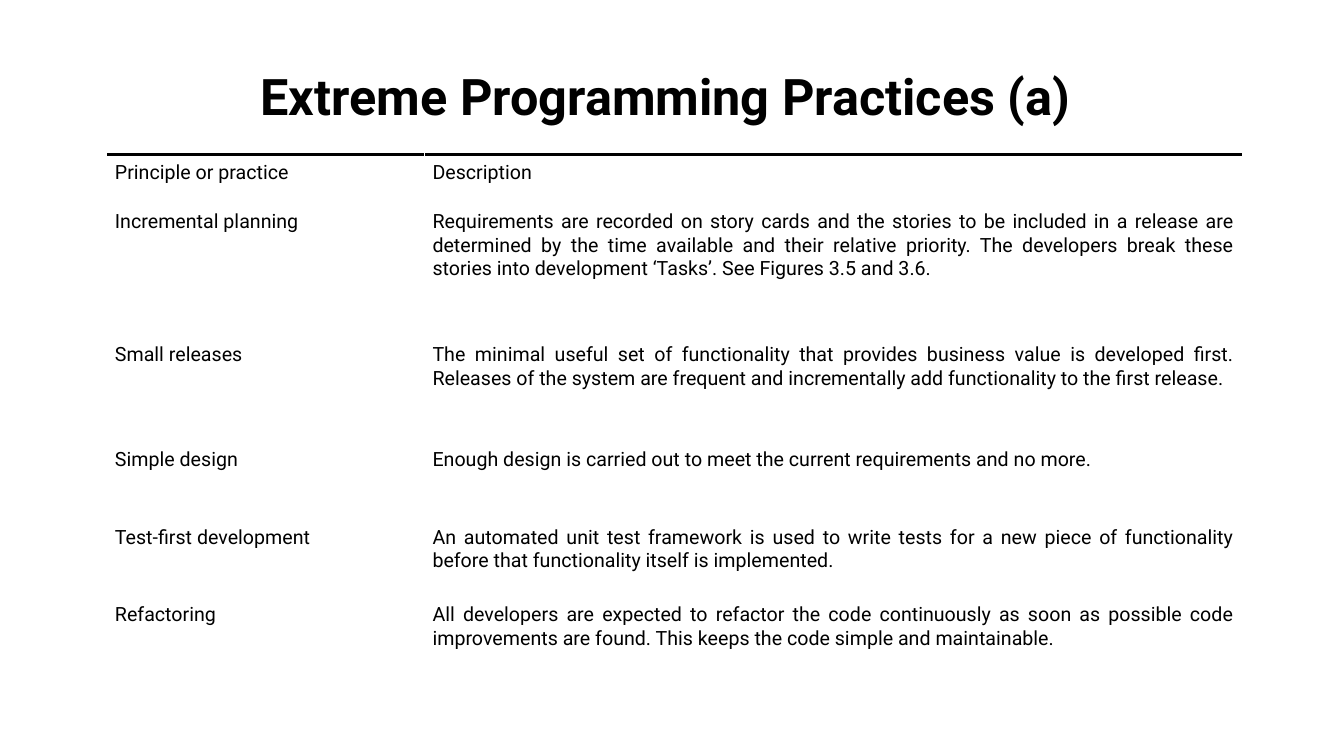
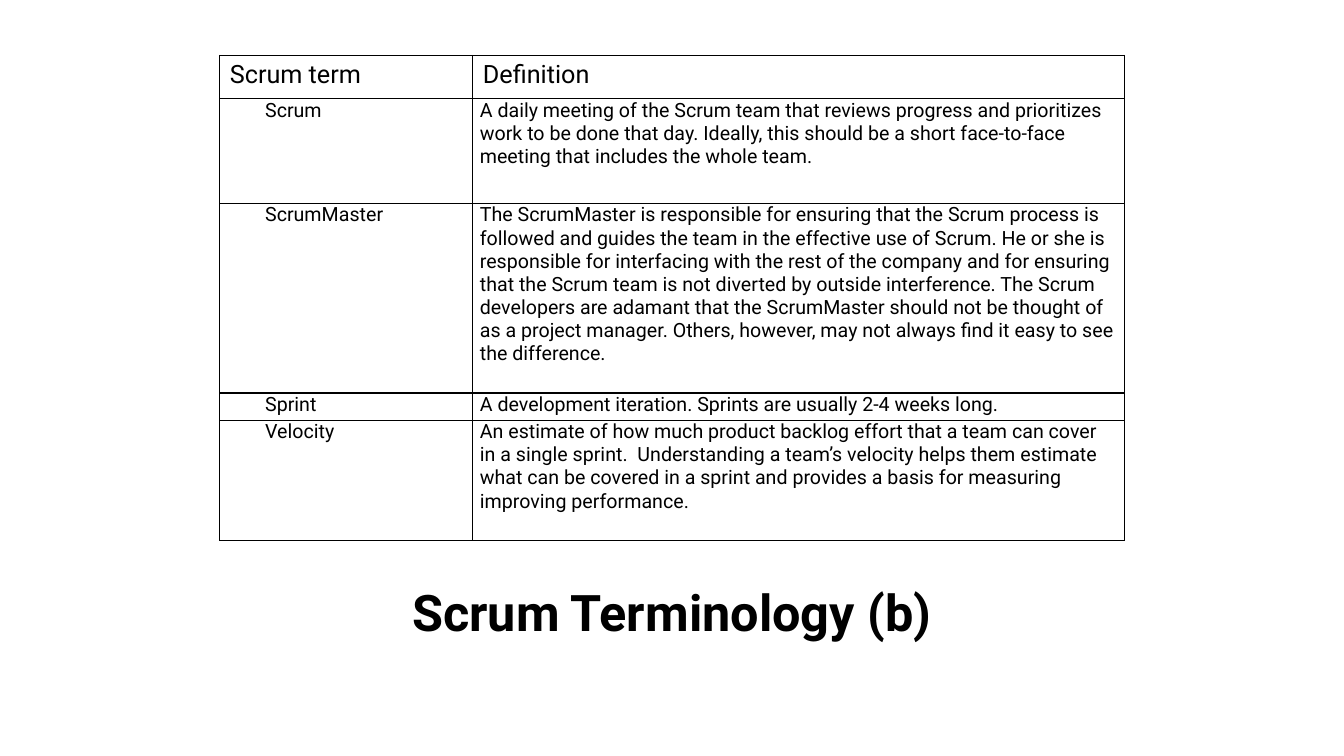
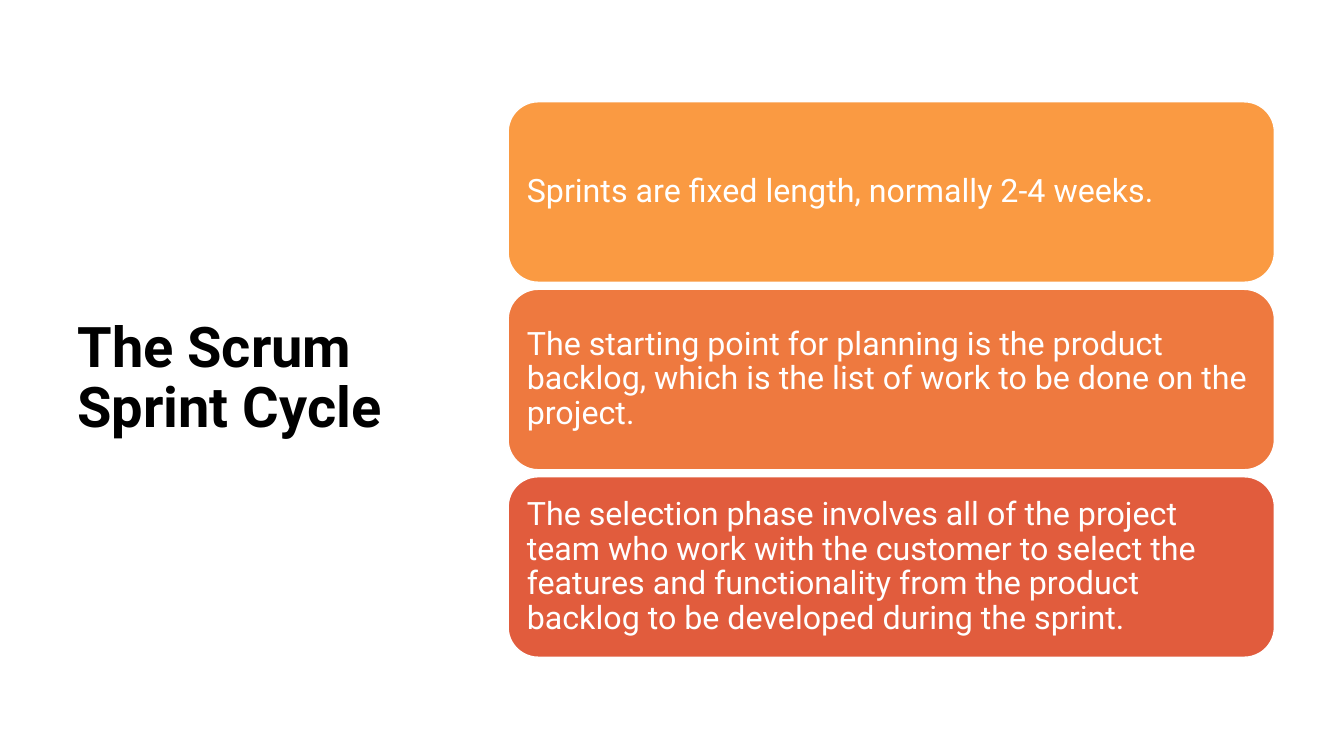
from lxml import etree
from pptx import Presentation
from pptx import util as u
from pptx.dml import color
from pptx.enum import shapes, text
from pptx.oxml import ns

FONT, BLACK, WHITE = "Roboto", "000000", "FFFFFF"
LEFT, MID, JUST = text.PP_ALIGN.LEFT, text.PP_ALIGN.CENTER, text.PP_ALIGN.JUSTIFY
BASE, HALF = text.MSO_ANCHOR.BOTTOM, text.MSO_ANCHOR.MIDDLE

RULES = [
    ("Principle or practice", "Description"),
    ("Incremental planning", "Requirements are recorded on story cards and the stories to be "
     "included in a release are determined by the time available and their relative priority. "
     "The developers break these stories into development ‘Tasks’. See Figures 3.5 and 3.6."),
    ("Small releases", "The minimal useful set of functionality that provides business value is "
     "developed first. Releases of the system are frequent and incrementally add functionality "
     "to the first release."),
    ("Simple design", "Enough design is carried out to meet the current requirements and no more."),
    ("Test-first development", "An automated unit test framework is used to write tests for a new "
     "piece of functionality before that functionality itself is implemented."),
    ("Refactoring", "All developers are expected to refactor the code continuously as soon as "
     "possible code improvements are found. This keeps the code simple and maintainable."),
]
TERMS = [
    ("Scrum term", "Definition"),
    ("Scrum", "A daily meeting of the Scrum team that reviews progress and prioritizes work to be "
     "done that day. Ideally, this should be a short face-to-face meeting that includes the whole "
     "team."),
    ("ScrumMaster", "The ScrumMaster is responsible for ensuring that the Scrum process is followed "
     "and guides the team in the effective use of Scrum. He or she is responsible for interfacing "
     "with the rest of the company and for ensuring that the Scrum team is not diverted by outside "
     "interference. The Scrum developers are adamant that the ScrumMaster should not be thought of "
     "as a project manager. Others, however, may not always find it easy to see the difference."),
    ("Sprint", "A development iteration. Sprints are usually 2-4 weeks long."),
    ("Velocity", "An estimate of how much product backlog effort that a team can cover in a single "
     "sprint.  Understanding a team’s velocity helps them estimate what can be covered in a sprint "
     "and provides a basis for measuring improving performance."),
]
STEPS = [
    ("FA9A42", "Sprints are fixed length, normally 2-4 weeks."),
    ("EE793F", "The starting point for planning is the product backlog, which is the list of work "
     "to be done on the project."),
    ("E15C3D", "The selection phase involves all of the project team who work with the customer to "
     "select the features and functionality from the product backlog to be developed during the "
     "sprint."),
]


def apply(item, **form):
    """Set each given attribute on an object."""
    for name, value in form.items():
        setattr(item, name, value)


def paint(form, tone):
    """Give a fill or font colour a solid hex tone."""
    form.solid()
    form.fore_color.rgb = color.RGBColor.from_string(tone)


def pad(item, side, top):
    """Set equal side and equal top and bottom margins."""
    apply(item, margin_left=u.Inches(side), margin_right=u.Inches(side),
          margin_top=u.Inches(top), margin_bottom=u.Inches(top))


def write(frame, words, size, tone=BLACK, bold=False, **form):
    """Fill a text frame with one styled paragraph and return it."""
    frame.word_wrap = True
    para = frame.paragraphs[0]
    para.text = words
    apply(para, **form)
    apply(para.font, name=FONT, size=u.Pt(size), bold=bold)
    paint(para.font.fill, tone)
    return para


def title(slide, box, words, size=36, align=MID, anchor=BASE):
    """Place the bold slide title in its box."""
    frame = slide.shapes.add_textbox(*map(u.Inches, box)).text_frame
    pad(frame, 0.1, 0.05)
    frame.vertical_anchor = anchor
    write(frame, words, size, bold=True, alignment=align, line_spacing=0.9)


def edge(cell, sides, width):
    """Draw black borders on the named sides of a cell."""
    props = cell._tc.get_or_add_tcPr()
    for side in sides:
        line = etree.SubElement(props, ns.qn("a:ln" + side), w=str(u.Pt(width)))
        fill = etree.SubElement(line, ns.qn("a:solidFill"))
        etree.SubElement(fill, ns.qn("a:srgbClr"), val=BLACK)


def grid(slide, spot, cols, rows, data, style):
    """Place a plain table, with style(cell, row, col, words) for each cell."""
    size = sum(cols), sum(rows)
    table = slide.shapes.add_table(len(rows), len(cols), *map(u.Inches, spot + size)).table
    apply(table, first_row=False, horz_banding=False)
    for col, width in zip(table.columns, cols):
        col.width = u.Inches(width)
    for row, height in zip(table.rows, rows):
        row.height = u.Inches(height)
    for r, pair in enumerate(data):
        for c, words in enumerate(pair):
            cell = table.cell(r, c)
            style(cell, r, c, words)
            paint(cell.fill, WHITE)


def rule(cell, row, col, words):
    """Style a cell of the practices table."""
    pad(cell, 0.08, 0.07)
    write(cell.text_frame, words, 14, alignment=JUST)
    if row == 0:
        edge(cell, "T", 2.25)


def term(cell, row, col, words):
    """Style a cell of the terms table."""
    head = row == 0
    pad(cell, *((0.1, 0.05) if head else (0.07, 0)))
    para = write(cell.text_frame, words, 18 if head else 14, alignment=LEFT)
    if col == 0 and not head:
        para._p.get_or_add_pPr().set("indent", str(u.Inches(0.38)))
    edge(cell, "LRTB", 1)


def stack(slide, box, steps, gap):
    """Stack equal rounded cards down the box."""
    left, top, width, height = box
    tall = (height + gap) / len(steps) - gap
    for n, (tone, words) in enumerate(steps):
        place = left, top + n * (tall + gap), width, tall
        card = slide.shapes.add_shape(shapes.MSO_SHAPE.ROUNDED_RECTANGLE, *map(u.Inches, place))
        card.shadow.inherit = False
        paint(card.fill, tone)
        paint(card.line.fill, WHITE)
        card.line.width = u.Pt(1)
        frame = card.text_frame
        pad(frame, 0.1, 0.1)
        frame.vertical_anchor = HALF
        write(frame, words, 23, WHITE, alignment=LEFT, line_spacing=0.9)


def main():
    """Build and save the three slides."""
    deck = Presentation()
    apply(deck, slide_width=u.Inches(13.33), slide_height=u.Inches(7.5))
    rules, terms, cycle = (deck.slides.add_slide(deck.slide_layouts[6]) for _ in range(3))

    title(rules, (1.89, 0.55, 9.55, 0.75), "Extreme Programming Practices (a) ")
    grid(rules, (1.06, 1.53), (3.15, 8.11), (0.49, 1.32, 1.04, 0.77, 0.77, 1.04), RULES, rule)

    grid(terms, (2.18, 0.55), (2.51, 6.46), (0.43, 1.04, 1.88, 0.27, 1.19), TERMS, term)
    title(terms, (2.18, 5.62, 8.97, 0.8), "Scrum Terminology (b)")

    title(cycle, (0.67, 0.6, 3.82, 6.33), "The Scrum Sprint Cycle", 40, LEFT, HALF)
    stack(cycle, (5.04, 1.01, 7.6, 5.51), STEPS, 0.07)
    deck.save("out.pptx")


if __name__ == "__main__":
    main()
